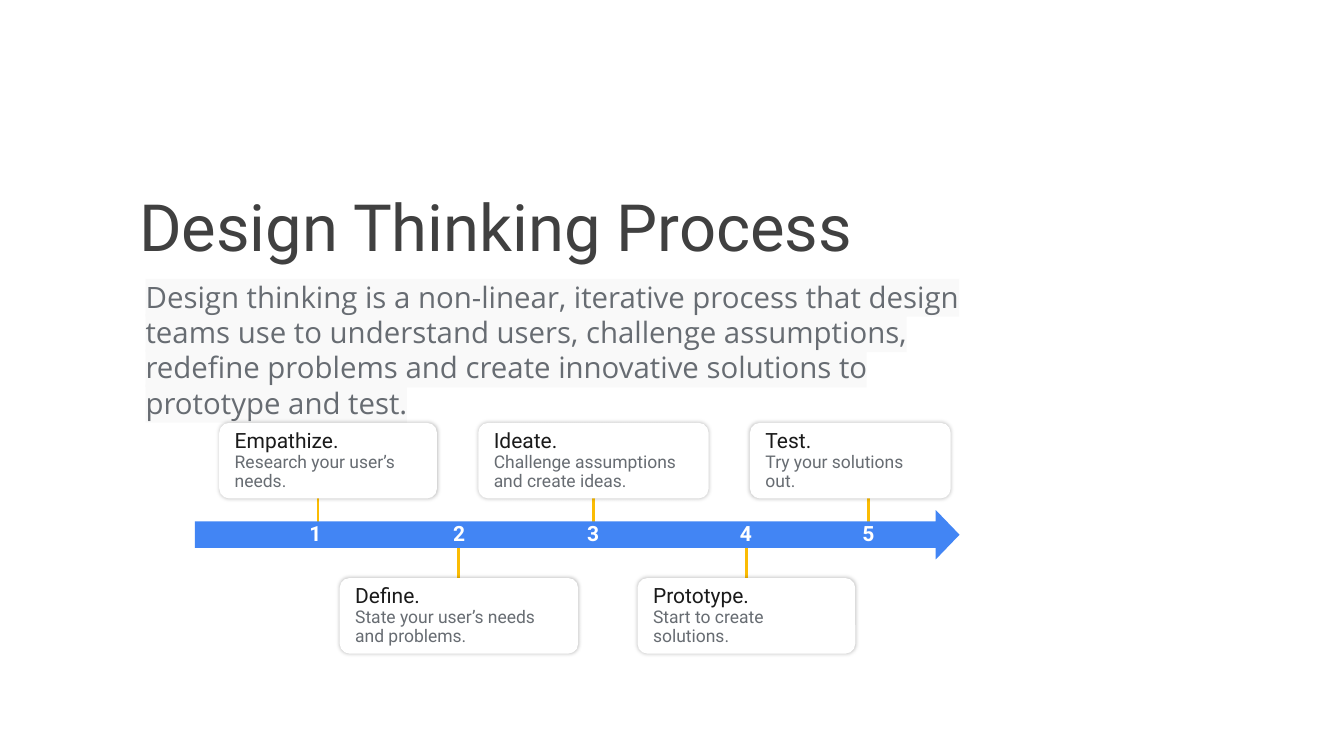
from lxml import etree
from pptx import Presentation
from pptx.dml.color import RGBColor
from pptx.enum.shapes import MSO_CONNECTOR, MSO_SHAPE
from pptx.enum.text import MSO_ANCHOR as ANCHOR, PP_ALIGN as ALIGN
from pptx.oxml.ns import qn
from pptx.util import Pt


def rgb(value):
    return RGBColor.from_string(value)


def write(shape, lines, inset, anchor, align=ALIGN.LEFT, spacing=None):
    """Fill a shape with (text, size, font, colour, bold) lines."""
    frame = shape.text_frame
    frame.word_wrap = True
    frame.vertical_anchor = anchor
    frame.margin_left = frame.margin_right = Pt(inset)
    frame.margin_top = frame.margin_bottom = Pt(inset)
    for index, (text, size, font, color, bold) in enumerate(lines):
        paragraph = frame.add_paragraph() if index else frame.paragraphs[0]
        paragraph.alignment = align
        paragraph.line_spacing = spacing
        run = paragraph.add_run()
        run.text = text
        run.font.size = Pt(size)
        run.font.bold = bold
        run.font.color.rgb = rgb(color)
        run.font.name = font


BLUE, YELLOW, WHITE = "4285F4", "FBBC04", "FFFFFF"
DARK, BLACK, GRAY, PALE = "404040", "1A1A1A", "676C72", "F9F9F9"

prs = Presentation()
prs.slide_width, prs.slide_height = Pt(1920), Pt(1080)
slide = prs.slides.add_slide(prs.slide_layouts[6])
shapes = slide.shapes

# Title
title = shapes.add_textbox(Pt(179.3), Pt(245), Pt(1144.8), Pt(152))
write(title, [("Design Thinking Process", 93, "Roboto", DARK, False)],
      19.4, ANCHOR.BOTTOM)

# Pale bands behind the introduction, so that no band covers a descender
INTRO_LEFT, INTRO_TOP, INTRO_INSET = 200.9, 391.3, 7.2
LINE_PITCH, BAND_HEIGHT = 50.4, 54
for index, band_width in enumerate((1162, 1087, 1030, 373)):
    band = shapes.add_shape(MSO_SHAPE.RECTANGLE, Pt(INTRO_LEFT + INTRO_INSET),
                            Pt(INTRO_TOP + INTRO_INSET + index * LINE_PITCH),
                            Pt(band_width), Pt(BAND_HEIGHT))
    band.fill.solid()
    band.fill.fore_color.rgb = rgb(PALE)
    band.line.fill.background()
    band.shadow.inherit = False

# Introduction
intro = shapes.add_textbox(Pt(INTRO_LEFT), Pt(INTRO_TOP), Pt(1247.8), Pt(167))
intro_text = ("Design thinking is a non-linear, iterative process that design "
              "teams use to understand users, challenge assumptions, redefine "
              "problems and create innovative solutions to prototype and test.")
write(intro, [(intro_text, 42, "Open Sans", GRAY, False)],
      INTRO_INSET, ANCHOR.TOP, spacing=1.0)

# Steps: number centre, stem x, card left, card width, heading, detail
steps = [
    (450.7, 454.3, 313.2, 311, "Empathize.", "Research your user’s needs."),
    (655.9, 655.2, 485.3, 340.6, "Define.",
     "State your user’s needs and problems."),
    (847.4, 847.4, 683.3, 329, "Ideate.",
     "Challenge assumptions and create ideas."),
    (1065.6, 1066.3, 910.8, 311, "Prototype.", "Start to create solutions."),
    (1240.6, 1240.6, 1071.4, 286.6, "Test.", "Try your solutions out."),
]
CARD_TOPS = (604.1, 825.8)  # odd steps above the arrow, even ones below
STEM_ENDS = ((754.5, 667.4), (864, 769))
CARD_HEIGHT = 108
NUMBER_WIDTH = 128.2

# Stems, behind the arrow and the cards
for index, (_, stem_x, *_) in enumerate(steps):
    start, end = STEM_ENDS[index % 2]
    stem = shapes.add_connector(MSO_CONNECTOR.STRAIGHT, Pt(stem_x), Pt(start),
                                Pt(stem_x), Pt(end))
    stem.line.color.rgb = rgb(YELLOW)
    stem.line.width = Pt(4)
    etree.SubElement(stem._element.spPr, qn("a:effectLst"))

# Timeline arrow
arrow = shapes.add_shape(MSO_SHAPE.RIGHT_ARROW, Pt(278.6), Pt(728.6),
                         Pt(1092.2), Pt(70.6))
arrow.adjustments[0], arrow.adjustments[1] = 0.537, 0.481
arrow.fill.solid()
arrow.fill.fore_color.rgb = rgb(BLUE)
arrow.line.fill.background()
arrow.shadow.inherit = False

# Step numbers and cards
for index, (center, _, left, width, heading, detail) in enumerate(steps):
    number = shapes.add_shape(MSO_SHAPE.ROUNDED_RECTANGLE,
                              Pt(center - NUMBER_WIDTH / 2), Pt(749.5),
                              Pt(NUMBER_WIDTH), Pt(24.5))
    number.adjustments[0] = 0
    number.fill.background()
    number.line.fill.background()
    number.shadow.inherit = False
    write(number, [(str(index + 1), 30, "Roboto", WHITE, True)],
          0, ANCHOR.MIDDLE, ALIGN.CENTER)

    card = shapes.add_shape(MSO_SHAPE.ROUNDED_RECTANGLE, Pt(left),
                            Pt(CARD_TOPS[index % 2]), Pt(width),
                            Pt(CARD_HEIGHT))
    card.adjustments[0] = 0.13
    card.fill.solid()
    card.fill.fore_color.rgb = rgb(WHITE)
    card.line.fill.background()
    card.shadow.inherit = False
    # Soft glow-like shadow: 6 pt blur, 25 % black
    effects = card._element.spPr.find(qn("a:effectLst"))
    shadow = etree.SubElement(effects, qn("a:outerShdw"),
                              blurRad=str(Pt(6)), dist="0", dir="0",
                              algn="ctr", rotWithShape="0")
    shade = etree.SubElement(shadow, qn("a:srgbClr"), val="000000")
    etree.SubElement(shade, qn("a:alpha"), val="25000")
    write(card, [(heading, 30, "Roboto", BLACK, False),
                 (detail, 25, "Roboto", GRAY, False)],
          18, ANCHOR.MIDDLE, spacing=0.9)

prs.save("out.pptx")
